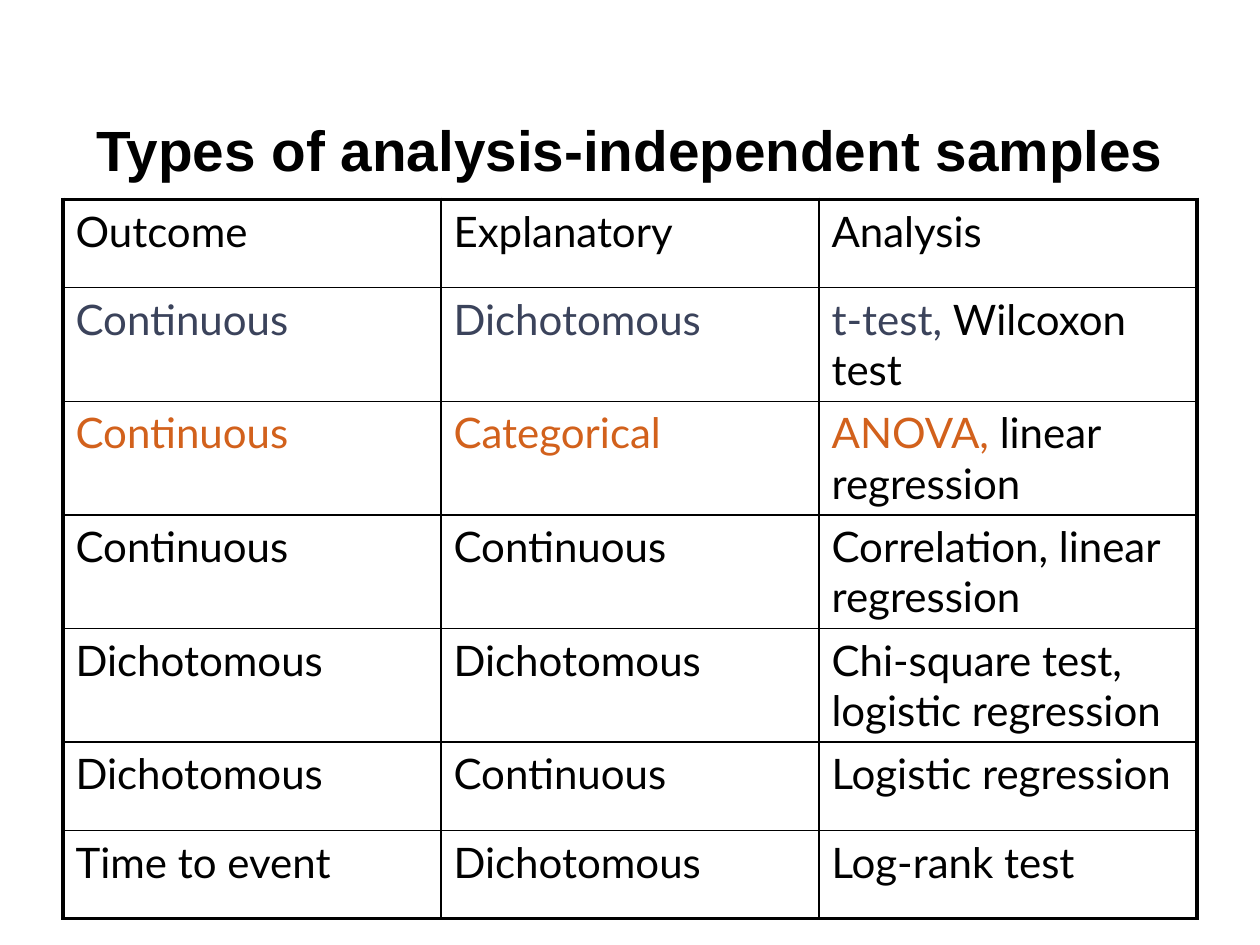
from dataclasses import dataclass

from lxml.etree import fromstring
from pptx import Presentation
from pptx.dml.color import RGBColor
from pptx.enum.text import MSO_ANCHOR as Anchor, MSO_AUTO_SIZE as AutoSize, PP_ALIGN as Align
from pptx.oxml.ns import nsdecls
from pptx.util import Cm, Pt


@dataclass(frozen=True)
class Theme:
    title_font: str = "Arial"
    body_font: str = "Lato"
    title_size: float = 32.4
    body_size: float = 24
    text: str = "000000"
    navy: str = "3B435B"
    orange: str = "D2611C"
    line: str = "000000"
    outer: float = 2.25
    inner: float = 1


THEME = Theme()

# Each row: accent colour, outcome, explanatory, analysis.
# An analysis pair is an accented part followed by a plain part.
ROWS = [
    (THEME.text, "Outcome", "Explanatory", "Analysis"),
    (THEME.navy, "Continuous", "Dichotomous", ("t-test, ", "Wilcoxon test")),
    (THEME.orange, "Continuous", "Categorical", ("ANOVA, ", "linear regression")),
    (THEME.text, "Continuous", "Continuous", "Correlation, linear regression"),
    (THEME.text, "Dichotomous", "Dichotomous", "Chi-square test, logistic regression"),
    (THEME.text, "Dichotomous", "Continuous", "Logistic regression"),
    (THEME.text, "Time to event", "Dichotomous", "Log-rank test"),
]
SHORT, TALL = Cm(1.78), Cm(2.29)
ROW_HEIGHTS = [SHORT] + [TALL] * 4 + [SHORT] * 2


def add_title(slide, text, left, top, width, height):
    sp = slide.shapes.title
    sp.left, sp.top, sp.width, sp.height = left, top, width, height
    tf = sp.text_frame
    tf.text = text
    tf.word_wrap = True
    tf.auto_size = AutoSize.NONE
    tf.vertical_anchor = Anchor.BOTTOM
    p = tf.paragraphs[0]
    p.alignment = Align.CENTER
    p.font.name = THEME.title_font
    p.font.size = Pt(THEME.title_size)
    p.font.bold = True
    p.font.color.rgb = RGBColor.from_string(THEME.text)


def set_borders(cell, **widths):
    """Draw the cell's edges; the keys L, R, T, B give widths in points."""
    tcPr = cell._tc.get_or_add_tcPr()
    for i, (side, width) in enumerate(widths.items()):
        tcPr.insert(i, fromstring(
            f'<a:ln{side} {nsdecls("a")} w="{Pt(width)}"><a:solidFill>'
            f'<a:srgbClr val="{THEME.line}"/></a:solidFill></a:ln{side}>'))


def fill_cell(cell, content, accent):
    cell.fill.background()
    p = cell.text_frame.paragraphs[0]
    p.font.name = THEME.body_font
    p.font.size = Pt(THEME.body_size)
    parts = (content,) if isinstance(content, str) else content
    for part, color in zip(parts, (accent, THEME.text)):
        r = p.add_run()
        r.text = part
        r.font.color.rgb = RGBColor.from_string(color)


def add_analysis_table(slide, left, top, width):
    n_rows, n_cols = len(ROWS), len(ROWS[0]) - 1
    table = slide.shapes.add_table(
        n_rows, n_cols, left, top, width, sum(ROW_HEIGHTS)).table
    table.first_row = table.horz_banding = False
    for column in table.columns:
        column.width = width // n_cols
    for i, (accent, *contents) in enumerate(ROWS):
        table.rows[i].height = ROW_HEIGHTS[i]
        for j, content in enumerate(contents):
            cell = table.cell(i, j)
            fill_cell(cell, content, accent)
            # Heavy frame, thin inner grid
            edges = {"L": j == 0, "R": j == n_cols - 1,
                     "T": i == 0, "B": i == n_rows - 1}
            set_borders(cell, **{side: THEME.outer if is_outer else THEME.inner
                                 for side, is_outer in edges.items()})


def main():
    prs = Presentation()
    prs.slide_width, prs.slide_height = Cm(25.4), Cm(19.05)
    slide = prs.slides.add_slide(prs.slide_layouts[5])  # Title Only
    left, width = Cm(1.27), Cm(22.86)
    add_title(slide, "Types of analysis-independent samples",
              left, Cm(0.64), width, Cm(3.18))
    add_analysis_table(slide, left, Cm(4.02), width)
    prs.save("out.pptx")


if __name__ == "__main__":
    main()
